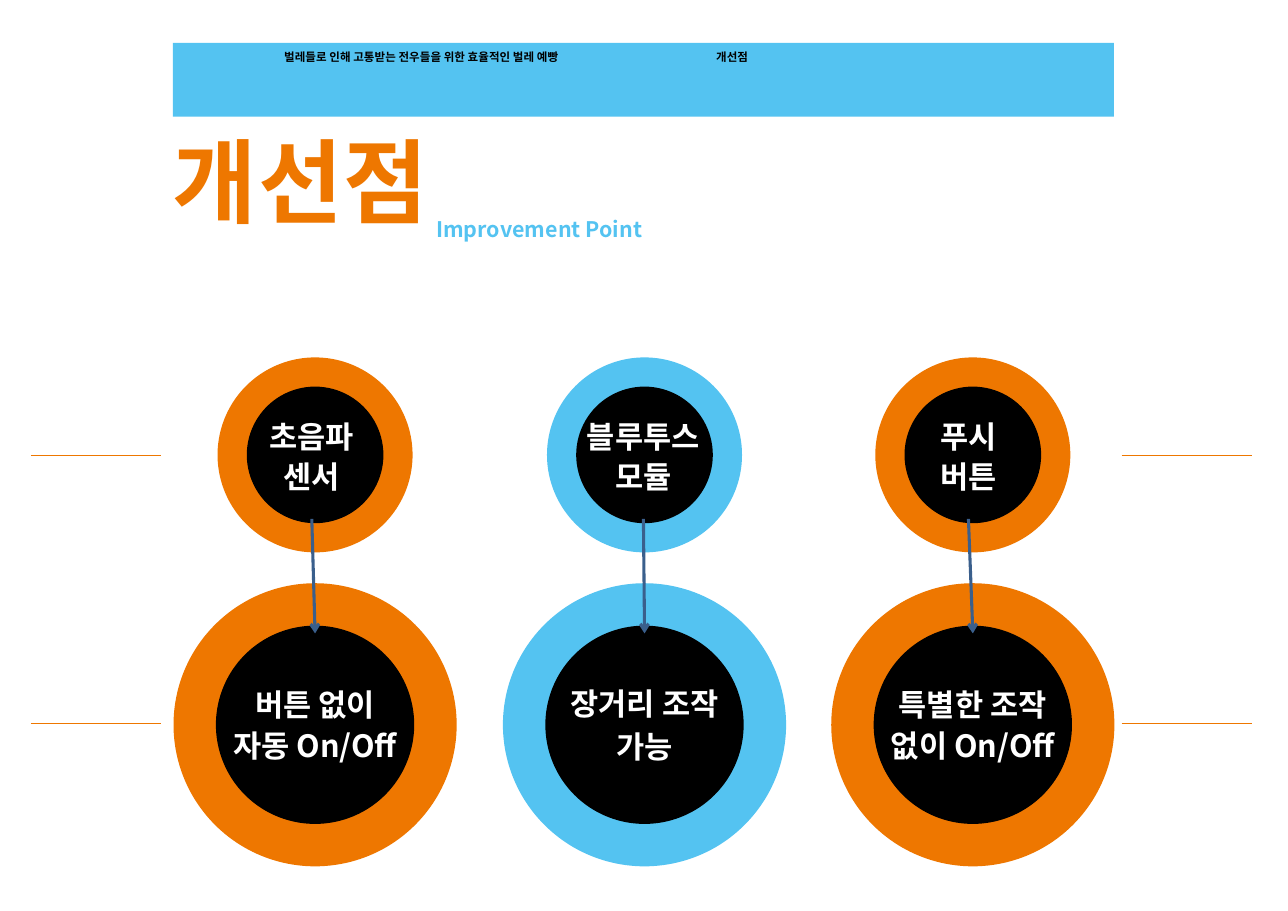
from lxml import etree
from pptx import Presentation
from pptx import util as u
from pptx.dml import color
from pptx.enum import shapes, text
from pptx.oxml import ns

FONT = "Noto Sans CJK KR"
ORANGE, BLUE, BLACK, WHITE, NAVY = "EE7700", "54C3F1", "000000", "FFFFFF", "3A5F8C"
COLUMNS = [
    (2.86, 2.83, ORANGE, ["초음파", "센서"], ["버튼 없이", "자동 On/Off"], 2.2),
    (5.85, 5.84, BLUE, ["블루투스", "모듈"], ["장거리 조작", "가능"], 4),
    (8.83, 8.79, ORANGE, ["푸시", "버튼"], ["특별한 조작", "없이 On/Off"], 2.2),
]


def rgb(value):
    """Return the colour for a hex string."""
    return color.RGBColor.from_string(value)


def add_solid(parent, kind, x, y, w, h, fill):
    """Add a preset shape with a plain fill and no outline."""
    sp = parent.shapes.add_shape(kind, *map(u.Inches, (x, y, w, h)))
    sp.shadow.inherit = False
    sp.fill.solid()
    sp.fill.fore_color.rgb = rgb(fill)
    sp.line.fill.background()
    return sp


def add_ring(s, cx, cy, outer, inner, fill):
    """Add a coloured disc with a black disc centred on it."""
    grp = s.shapes.add_group_shape()
    for d, c in ((outer, fill), (inner, BLACK)):
        add_solid(grp, shapes.MSO_SHAPE.OVAL, cx - d / 2, cy - d / 2, d, d, c)


def add_text(s, lines, x, y, w, h, size=20, fill=WHITE, before=1.5,
             spacing=None, tracking=None, centred=False):
    """Add a bold text box with one paragraph for each line."""
    sp = s.shapes.add_textbox(*map(u.Inches, (x, y, w, h)))
    tf = sp.text_frame
    tf.word_wrap = True
    tf.margin_left = tf.margin_right = tf.margin_top = tf.margin_bottom = 0
    tf.vertical_anchor = text.MSO_ANCHOR.MIDDLE if centred else text.MSO_ANCHOR.TOP
    for i, line in enumerate(lines):
        p = tf.add_paragraph() if i else tf.paragraphs[0]
        p.alignment = text.PP_ALIGN.CENTER if centred else text.PP_ALIGN.LEFT
        p.space_before = u.Pt(before)
        if spacing:
            p.line_spacing = spacing
        r = p.add_run()
        r.text = line
        r.font.size = u.Pt(size)
        r.font.bold = True
        r.font.name = FONT
        r.font.color.rgb = rgb(fill)
        rpr = r.font._element
        etree.SubElement(rpr, ns.qn("a:ea"), typeface=FONT)
        if tracking:
            rpr.set("spc", str(round(tracking * 100)))
    return sp


def add_line(s, x1, y1, x2, y2, fill, width):
    """Add a straight line without a shadow."""
    c = s.shapes.add_connector(shapes.MSO_CONNECTOR.STRAIGHT,
                               *map(u.Inches, (x1, y1, x2, y2)))
    c.line.color.rgb = rgb(fill)
    c.line.width = u.Pt(width)
    etree.SubElement(c._element.spPr, ns.qn("a:effectLst"))
    return c


def add_arrow(s, start, end):
    """Join the bottom of one text box to the top of another with an arrow."""
    c = add_line(s, 0, 0, 1, 1, NAVY, 2)
    c.begin_connect(start, 2)
    c.end_connect(end, 0)
    ln = c._element.spPr.find(ns.qn("a:ln"))
    etree.SubElement(ln, ns.qn("a:tailEnd"), type="arrow")


def add_header(s):
    """Add the top band, its captions and the slide titles."""
    add_solid(s, shapes.MSO_SHAPE.RECTANGLE, 1.57, 0.39, 8.54, 0.67, BLUE)
    add_text(s, ["벌레들로 인해 고통받는 전우들을 위한 효율적인 벌레 예빵"],
             2.58, 0.45, 2.76, 0.28, size=7.5, fill=BLACK)
    add_text(s, ["개선점"], 6.5, 0.45, 3.61, 0.28, size=7.5, fill=BLACK)
    add_text(s, ["Improvement Point"], 3.96, 1.95, 2.26, 0.4,
             size=14, fill=BLUE, spacing=1.07)
    add_text(s, ["개선점"], 1.57, 1.26, 3.75, 1.38, size=60, fill=ORANGE,
             before=4.8, spacing=0.88, tracking=0.7)


def add_column(s, cx, label_cx, fill, part, benefit, before):
    """Add a part, the benefit below it and the arrow between them."""
    add_ring(s, cx, 4.13, 1.77, 1.24, fill)
    add_ring(s, cx, 6.58, 2.57, 1.8, fill)
    top = add_text(s, part, label_cx - 0.6, 3.57, 1.2, 1.14, before=2.2, centred=True)
    low = add_text(s, benefit, cx - 0.83, 5.75, 1.66, 1.66, before=before, centred=True)
    add_arrow(s, top, low)


def main():
    """Build the slide and save it."""
    prs = Presentation()
    prs.slide_width, prs.slide_height = u.Inches(11.69), u.Inches(8.27)
    s = prs.slides.add_slide(prs.slide_layouts[6])
    add_header(s)
    for column in COLUMNS:
        add_column(s, *column)
    for y in (4.13, 6.57):
        for x in (0.28, 10.18):
            add_line(s, x, y, x + 1.18, y, ORANGE, 0.5)
    prs.save("out.pptx")


if __name__ == "__main__":
    main()
